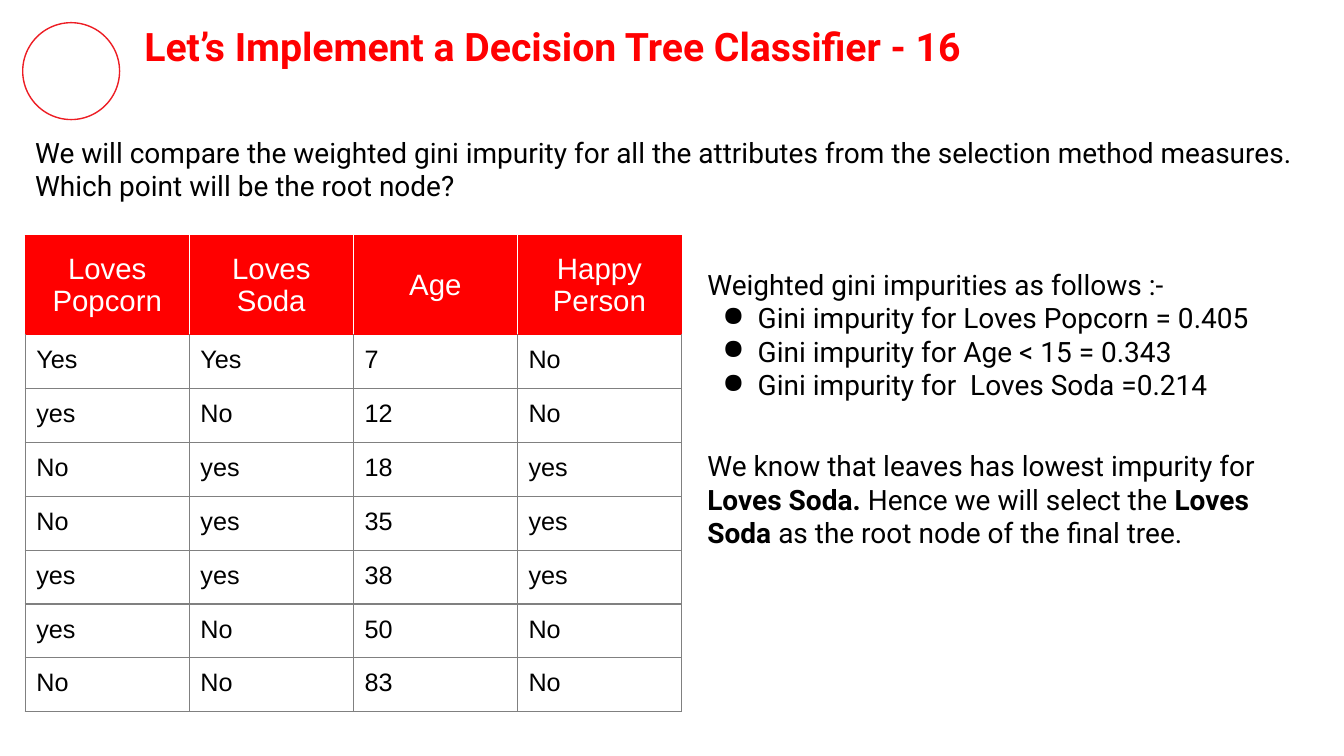
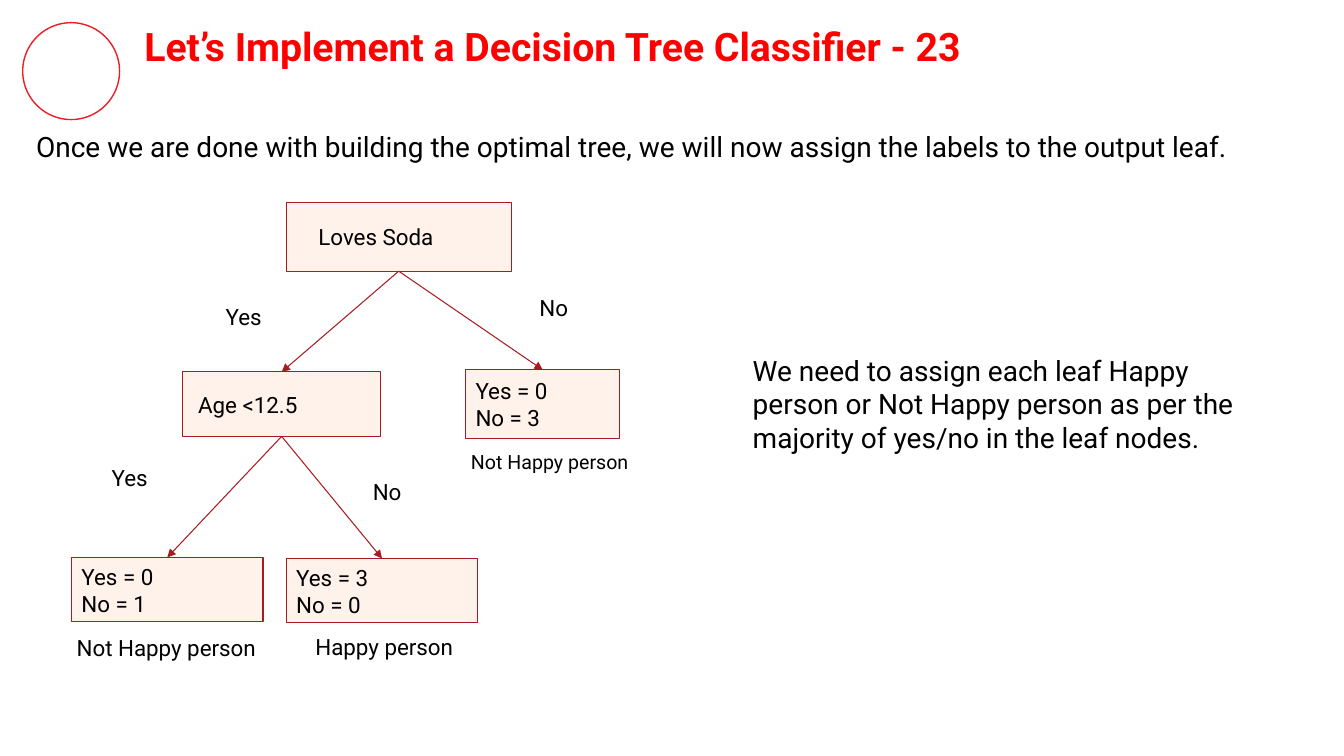
"""Builds two slides on choosing the root and labelling the leaves of a decision tree."""
from dataclasses import dataclass

from lxml import etree
from pptx import Presentation
from pptx.dml.color import RGBColor
from pptx.enum.shapes import MSO_CONNECTOR, MSO_SHAPE
from pptx.enum.text import MSO_ANCHOR, PP_ALIGN
from pptx.oxml.ns import qn
from pptx.util import Pt

LEFT, CENTER = PP_ALIGN.LEFT, PP_ALIGN.CENTER
TOP, MIDDLE = MSO_ANCHOR.TOP, MSO_ANCHOR.MIDDLE
RECT, OVAL = MSO_SHAPE.RECTANGLE, MSO_SHAPE.OVAL
STRAIGHT = MSO_CONNECTOR.STRAIGHT
BOTTOM_SITE, TOP_SITE = 2, 0


@dataclass(frozen=True)
class Theme:
    title: str = "FF0001"
    ring: str = "ED1D24"
    header: str = "FF0000"
    grid: str = "808080"
    text: str = "000000"
    white: str = "FFFFFF"
    node: str = "FFF2EB"
    edge: str = "A71C20"
    font: str = "Roboto"
    table_font: str = "Arial"
    title_size: float = 28
    body_size: float = 20
    node_size: float = 16
    small_size: float = 14
    header_size: float = 21
    cell_size: float = 18
    inset: float = 7.2
    cell_inset: float = 8


THEME = Theme()


@dataclass(frozen=True)
class Box:
    x: float
    y: float
    w: float
    h: float


@dataclass(frozen=True)
class Run:
    text: str
    bold: bool = False


@dataclass(frozen=True)
class Para:
    runs: tuple[Run, ...]
    bullet: bool = False


@dataclass(frozen=True)
class Style:
    size: float = THEME.body_size
    color: str = THEME.text
    font: str = THEME.font
    align: PP_ALIGN = LEFT
    anchor: MSO_ANCHOR = TOP
    after: float = 0
    spacing: float = 1.0


@dataclass(frozen=True)
class Node:
    name: str
    box: Box
    lines: tuple[str, ...]
    indent: float = 0
    parent: str = ""


@dataclass(frozen=True)
class Label:
    text: str
    box: Box
    style: Style


BODY = Style()
TITLE = Style(THEME.title_size, THEME.title)
NODE = Style(THEME.node_size, anchor=MIDDLE)
BRANCH = Style(THEME.node_size)
OUTCOME = Style(THEME.node_size, align=CENTER)
HEADER = Style(THEME.header_size, THEME.white, THEME.table_font, CENTER, MIDDLE)
CELL = Style(THEME.cell_size, font=THEME.table_font)

HEADINGS = ("Loves Popcorn", "Loves Soda", "Age", "Happy Person")
PEOPLE = (
    ("Yes", "Yes", "7", "No"),
    ("yes", "No", "12", "No"),
    ("No", "yes", "18", "yes"),
    ("No", "yes", "35", "yes"),
    ("yes", "yes", "38", "yes"),
    ("yes", "No", "50", "No"),
    ("No", "No", "83", "No"),
)
NODES = (
    Node("soda", Box(204.5, 144.7, 160.6, 49), ("Loves Soda",), 15.8),
    Node("age", Box(130.3, 265.7, 141.8, 46), ("Age <12.5",), 4, "soda"),
    Node("no soda", Box(332.6, 264.2, 110.2, 49), ("Yes = 0", "No = 3"), parent="soda"),
    Node("young", Box(51.1, 398.2, 136.8, 46), ("Yes = 0", "No = 1"), parent="age"),
    Node("older", Box(204.5, 398.9, 136.8, 46), ("Yes = 3", "No = 0"), parent="age"),
)
LABELS = (
    Label("Yes", Box(154.1, 209.5, 58, 34), BRANCH),
    Label("No", Box(378.2, 203, 65, 34), BRANCH),
    Label("Yes", Box(72.7, 324, 58, 34), BRANCH),
    Label("No", Box(259.2, 334.1, 73, 34), BRANCH),
    Label("Not Happy person", Box(314.6, 313.9, 156.2, 39),
          Style(THEME.small_size, align=CENTER)),
    Label("Happy person", Box(194.2, 445, 160.6, 39), OUTCOME),
    Label("Not Happy person", Box(43.2, 449.3, 151.2, 46),
          Style(THEME.node_size, align=CENTER, spacing=0.8)),
)


def rgb(color: str) -> RGBColor:
    return RGBColor.from_string(color)


def plain(*lines: str, bold: bool = False) -> list[Para]:
    return [Para((Run(line, bold),)) for line in lines]


def add_bullet(p) -> None:
    ppr = p._p.get_or_add_pPr()
    ppr.set("marL", str(Pt(36)))
    ppr.set("indent", str(-Pt(25.2)))
    etree.SubElement(ppr, qn("a:buChar"), char="●")


def write(tf, paras: list[Para], style: Style) -> None:
    for i, para in enumerate(paras):
        p = tf.add_paragraph() if i else tf.paragraphs[0]
        p.alignment = style.align
        p.line_spacing = style.spacing
        p.space_after = Pt(style.after)
        if para.bullet:
            add_bullet(p)
        for run in para.runs:
            r = p.add_run()
            r.text = run.text
            r.font.name = style.font
            r.font.size = Pt(style.size)
            r.font.bold = run.bold
            r.font.color.rgb = rgb(style.color)


def fill_frame(tf, paras: list[Para], style: Style, indent: float = 0) -> None:
    tf.word_wrap = True
    tf.vertical_anchor = style.anchor
    tf.margin_left = Pt(THEME.inset + indent)
    tf.margin_right = tf.margin_top = tf.margin_bottom = Pt(THEME.inset)
    write(tf, paras, style)


def add_text(s, box: Box, paras: list[Para], style: Style = BODY) -> None:
    sp = s.shapes.add_textbox(Pt(box.x), Pt(box.y), Pt(box.w), Pt(box.h))
    fill_frame(sp.text_frame, paras, style)


def add_outline(s, kind: MSO_SHAPE, box: Box, line: str, width: float):
    sp = s.shapes.add_shape(kind, Pt(box.x), Pt(box.y), Pt(box.w), Pt(box.h))
    sp.shadow.inherit = False
    sp.fill.background()
    sp.line.color.rgb = rgb(line)
    sp.line.width = Pt(width)
    return sp


def add_node(s, node: Node):
    sp = add_outline(s, RECT, node.box, THEME.edge, 0.75)
    sp.fill.solid()
    sp.fill.fore_color.rgb = rgb(THEME.node)
    fill_frame(sp.text_frame, plain(*node.lines), NODE, node.indent)
    return sp


def add_arrow(s, parent, child) -> None:
    cx = s.shapes.add_connector(STRAIGHT, 0, 0, 0, 0)
    cx.begin_connect(parent, BOTTOM_SITE)
    cx.end_connect(child, TOP_SITE)
    cx.line.color.rgb = rgb(THEME.edge)
    cx.line.width = Pt(0.75)
    etree.SubElement(cx.line._get_or_add_ln(), qn("a:tailEnd"), type="triangle")
    etree.SubElement(cx._element.spPr, qn("a:effectLst"))


def set_borders(cell, left: str, right: str, top: str, bottom: str) -> None:
    tcpr = cell._tc.get_or_add_tcPr()
    sides = (("a:lnL", left), ("a:lnR", right), ("a:lnT", top), ("a:lnB", bottom))
    for i, (tag, color) in enumerate(sides):
        ln = etree.Element(qn(tag), w=str(Pt(1)))
        fill = etree.SubElement(ln, qn("a:solidFill"))
        etree.SubElement(fill, qn("a:srgbClr"), val=color)
        tcpr.insert(i, ln)


def add_people_table(s, box: Box, header_h: float) -> None:
    rows = (HEADINGS, *PEOPLE)
    last = len(HEADINGS) - 1
    frame = s.shapes.add_table(len(rows), len(HEADINGS), Pt(box.x), Pt(box.y),
                               Pt(box.w), Pt(box.h))
    table = frame.table
    for col in table.columns:
        col.width = Pt(box.w / len(HEADINGS))
    for i, values in enumerate(rows):
        head = i == 0
        table.rows[i].height = Pt(header_h if head else (box.h - header_h) / len(PEOPLE))
        style = HEADER if head else CELL
        for j, value in enumerate(values):
            cell = table.cell(i, j)
            cell.fill.solid()
            cell.fill.fore_color.rgb = rgb(THEME.header if head else THEME.white)
            cell.margin_left = cell.margin_right = Pt(THEME.cell_inset)
            cell.margin_top = cell.margin_bottom = Pt(THEME.cell_inset)
            cell.vertical_anchor = style.anchor
            write(cell.text_frame, plain(value), style)
            if head:
                set_borders(cell, THEME.white if j else THEME.header,
                            THEME.white if j < last else THEME.header,
                            THEME.header, THEME.header)
            else:
                set_borders(cell, THEME.grid, THEME.grid,
                            THEME.header if i == 1 else THEME.grid, THEME.grid)


def add_slide(prs, number: int):
    s = prs.slides.add_slide(prs.slide_layouts[6])
    add_outline(s, OVAL, Box(16.2, 16.2, 69.2, 69.2), THEME.ring, 1)
    title = f"Let’s Implement a Decision Tree Classifier - {number}"
    add_text(s, Box(96, 8.6, 805, 48), plain(title, bold=True), TITLE)
    return s


def build_root_slide(prs) -> None:
    s = add_slide(prs, 16)
    add_people_table(s, Box(18, 168.5, 468.8, 340), 70.6)
    add_text(s, Box(18, 89.3, 924.5, 62.6), plain(
        "We will compare the weighted gini impurity for all the attributes from the "
        "selection method measures. Which point will be the root node?"), Style(after=12))
    scores = ("Loves Popcorn = 0.405", "Age < 15 = 0.343", " Loves Soda =0.214")
    bullets = [Para((Run(f"Gini impurity for {score}"),), True) for score in scores]
    add_text(s, Box(498.2, 183.6, 444.2, 129.6),
             plain("Weighted gini impurities as follows :-") + bullets)
    conclusion = Para((
        Run("We know that leaves has lowest impurity for "),
        Run("Loves Soda. ", True),
        Run("Hence we will select the "),
        Run("Loves Soda", True),
        Run(" as the root node of the final tree."),
    ))
    add_text(s, Box(498.2, 313.2, 444.2, 87), [conclusion], Style(after=12))


def build_leaf_slide(prs) -> None:
    s = add_slide(prs, 23)
    add_text(s, Box(18.7, 85, 923.8, 48), plain(
        "Once we are done with building the optimal tree, we will now assign the labels "
        "to the output leaf."))
    shapes = {node.name: add_node(s, node) for node in NODES}
    for node in NODES:
        if node.parent:
            add_arrow(s, shapes[node.parent], shapes[node.name])
    for label in LABELS:
        add_text(s, label.box, plain(label.text), label.style)
    add_text(s, Box(530.6, 234.7, 370, 107.3), plain(
        "We need to assign each leaf Happy person or Not Happy person as per the majority "
        "of yes/no in the leaf nodes."), Style(anchor=MIDDLE))


def main() -> None:
    prs = Presentation()
    prs.slide_width, prs.slide_height = Pt(960), Pt(540)
    build_root_slide(prs)
    build_leaf_slide(prs)
    prs.save("out.pptx")


if __name__ == "__main__":
    main()
